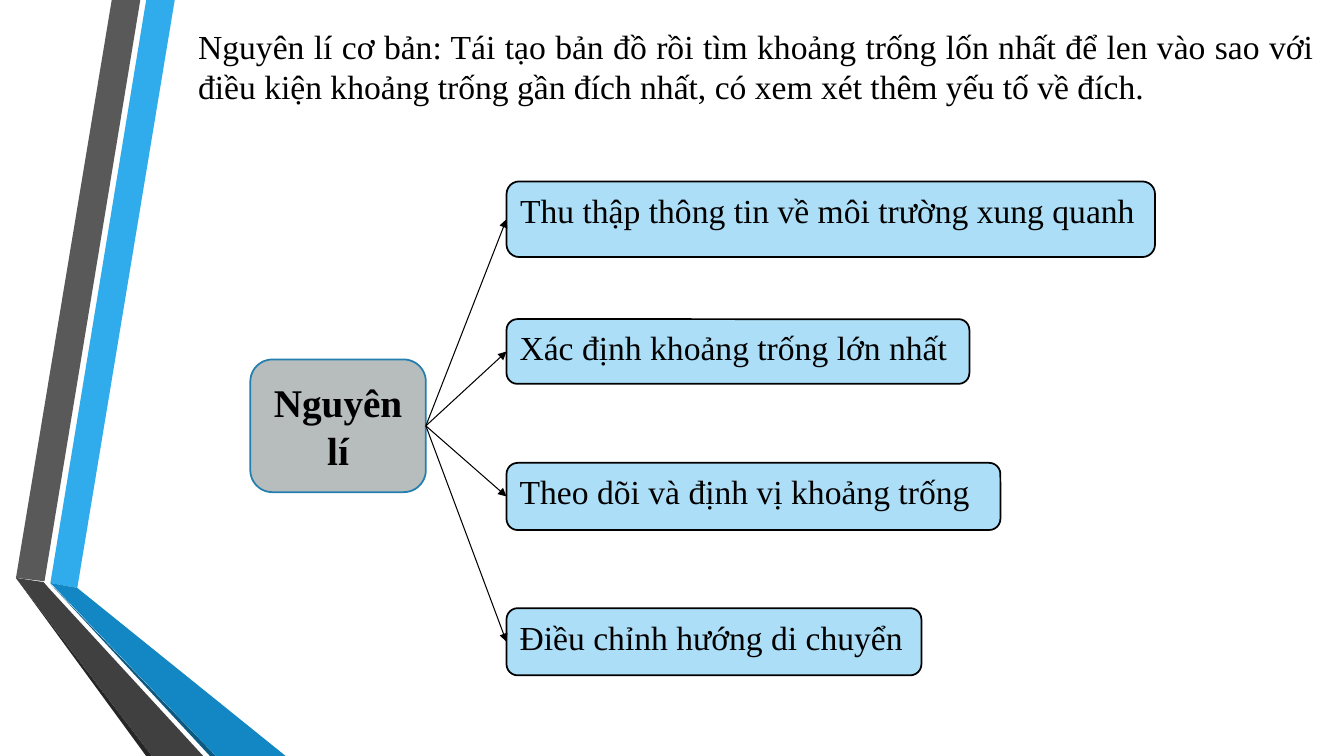
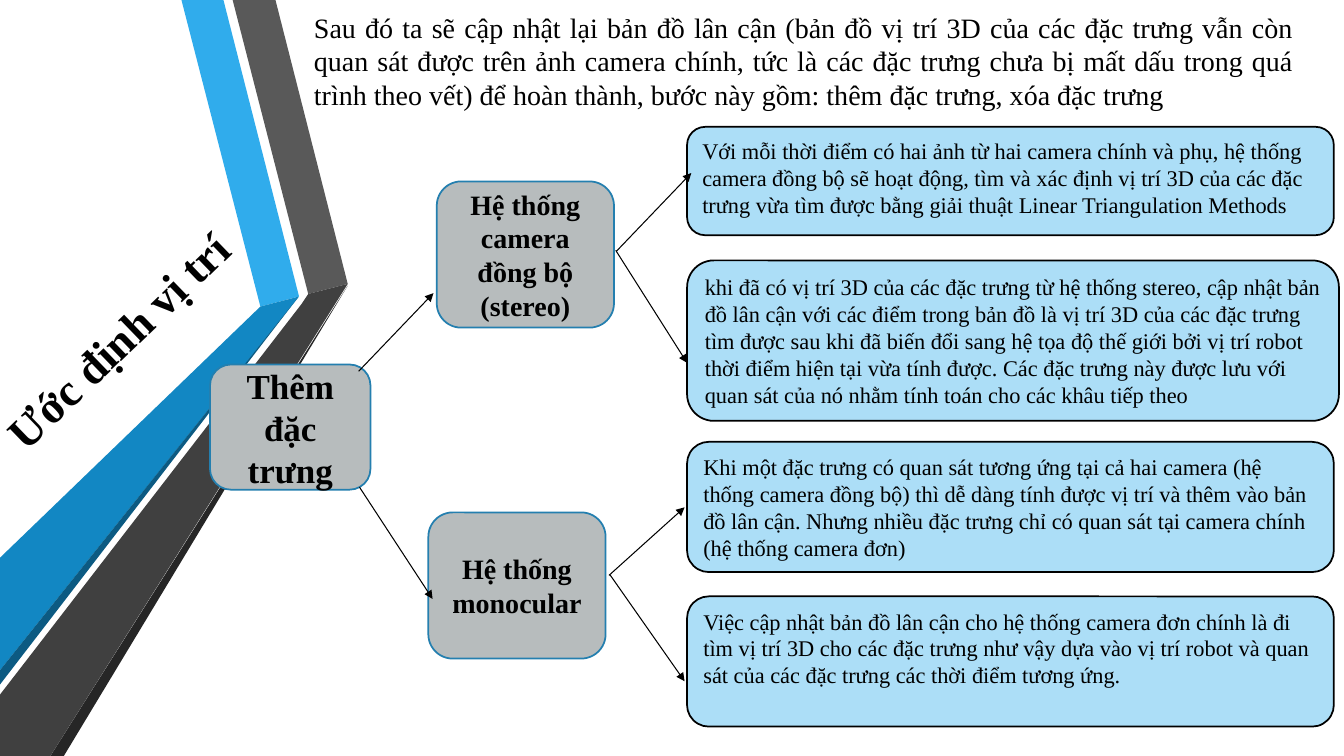
from dataclasses import dataclass

from lxml import etree
from pptx import Presentation
from pptx.dml import color as dml
from pptx.enum import shapes, text
from pptx.oxml import ns
from pptx.shapes import autoshape, connector
from pptx.slide import Slide
from pptx.util import Emu, Pt

COLUMNS, ROWS = 160, 90
CELL = 76200
FONT = "Times New Roman"
COLORS = {
    "ink": "000000",
    "sky": "30ACEC",
    "blue": "1287C3",
    "deep": "0C5A82",
    "gray": "595959",
    "dark": "404040",
    "shade": "262626",
    "node": "B7BCBD",
    "node_line": "247FAF",
    "detail": "ACDEF7",
}
ALIGN = text.PP_ALIGN
ANCHOR = text.MSO_ANCHOR
LEFT_SITE, RIGHT_SITE = 1, 3
Point = tuple[float, float]


@dataclass(frozen=True)
class Area:
    column: float
    row: float
    columns: float
    rows: float

    def lengths(self) -> tuple[Emu, Emu, Emu, Emu]:
        return (cells(self.column), cells(self.row),
                cells(self.columns), cells(self.rows))


@dataclass(frozen=True)
class Style:
    size: float
    align: ALIGN
    anchor: ANCHOR = ANCHOR.TOP
    bold: bool = False


@dataclass(frozen=True)
class Card:
    fill: str
    line: str
    style: Style


@dataclass(frozen=True)
class Band:
    color: str
    points: tuple[Point, ...]


@dataclass(frozen=True)
class Label:
    area: Area
    words: str


@dataclass(frozen=True)
class Arrow:
    start: Point
    end: Point


def node_card(size: float) -> Card:
    return Card("node", "node_line", Style(size, ALIGN.CENTER, ANCHOR.MIDDLE, True))


def detail_card(size: float, align: ALIGN) -> Card:
    return Card("detail", "ink", Style(size, align))


STEP_LEFT = 60.3
DETAIL_LEFT = 81.8

LEFT_BANDS = (
    Band("sky", ((6, 69.4), (9.2, 70), (20.8, 0), (17.4, 0))),
    Band("gray", ((16.7, 0), (13.3, 0), (1.9, 68.8), (5.3, 69.2))),
    Band("shade", ((1.9, 68.8), (17.4, 90), (18.1, 90))),
    Band("deep", ((6, 69.5), (25, 90), (25.7, 90))),
    Band("blue", ((6, 69.4), (25.7, 90), (34, 90), (9.2, 70))),
    Band("dark", ((24.2, 90), (5.8, 70), (5.2, 69.3), (1.9, 68.8), (18.1, 90))),
)
RIGHT_BANDS = (
    Band("sky", ((35.6, 35.3), (31, 36.5), (21.6, 0), (26.6, 0))),
    Band("gray", ((36.7, 35), (27.7, 0), (32.8, 0), (41.4, 33.8))),
    Band("shade", ((41.4, 34), (7.6, 90), (6, 90))),
    Band("blue", ((35.6, 35.3), (0, 79.8), (0, 66.4), (31, 36.5))),
    Band("dark", ((41.4, 33.8), (6, 90), (0, 90), (0, 82.7), (35.9, 36.2), (36.7, 35))),
    Band("deep", ((35.5, 35.4), (0, 81.5), (0, 79.8))),
)
STEPS = (
    Label(Area(STEP_LEFT, 21.6, 77.2, 9), "Thu thập thông tin về môi trường xung quanh"),
    Label(Area(STEP_LEFT, 38, 55.1, 7.7), "Xác định khoảng trống lớn nhất"),
    Label(Area(STEP_LEFT, 55.1, 58.8, 8), "Theo dõi và định vị khoảng trống"),
    Label(Area(STEP_LEFT, 72.4, 49.4, 8), "Điều chỉnh hướng di chuyển"),
)
SYSTEMS = (
    Label(Area(52, 21.6, 21.1, 17.4), "Hệ thống camera đồng bộ (stereo)"),
    Label(Area(51, 61, 21.1, 17.4), "Hệ thống monocular"),
)
DETAILS = (
    Label(
        Area(DETAIL_LEFT, 15.1, 77, 12.9),
        "Với mỗi thời điểm có hai ảnh từ hai camera chính và phụ, hệ thống camera "
        "đồng bộ sẽ hoạt động, tìm và xác định vị trí 3D của các đặc trưng vừa tìm "
        "được bằng giải thuật Linear Triangulation Methods",
    ),
    Label(
        Area(DETAIL_LEFT, 31, 77.6, 19.1),
        "khi đã có vị trí 3D của các đặc trưng từ hệ thống stereo, cập nhật bản đồ "
        "lân cận với các điểm trong bản đồ là vị trí 3D của các đặc trưng tìm được "
        "sau khi đã biến đổi sang hệ tọa độ thế giới bởi vị trí robot thời điểm "
        "hiện tại vừa tính được. Các đặc trưng này được lưu với quan sát của nó "
        "nhằm tính toán cho các khâu tiếp theo",
    ),
    Label(
        Area(DETAIL_LEFT, 52.6, 77, 15.5),
        "Khi một đặc trưng có quan sát tương ứng tại cả hai camera (hệ thống camera "
        "đồng bộ) thì dễ dàng tính được vị trí và thêm vào bản đồ lân cận. Nhưng "
        "nhiều đặc trưng chỉ có quan sát tại camera chính (hệ thống camera đơn)",
    ),
    Label(
        Area(DETAIL_LEFT, 71, 77, 15.5),
        "Việc cập nhật bản đồ lân cận cho hệ thống camera đơn chính là đi tìm vị "
        "trí 3D cho các đặc trưng như vậy dựa vào vị trí robot và quan sát của các "
        "đặc trưng các thời điểm tương ứng.",
    ),
)
ARROWS = (
    Arrow((73.4, 29.9), (82.3, 20.6)),
    Arrow((73.3, 29.8), (81.8, 43.2)),
    Arrow((72.5, 68.5), (81.5, 60.4)),
    Arrow((72.6, 68.4), (81.5, 81.1)),
    Arrow((42.8, 58), (51.5, 71.3)),
    Arrow((42.7, 44.2), (51.6, 34.9)),
)


def cells(count: float) -> Emu:
    return Emu(round(count * CELL))


def rgb(name: str) -> dml.RGBColor:
    return dml.RGBColor.from_string(COLORS[name])


def write(box: autoshape.Shape, words: str, style: Style) -> None:
    frame = box.text_frame
    frame.word_wrap = True
    frame.vertical_anchor = style.anchor
    para = frame.paragraphs[0]
    para.alignment = style.align
    span = para.add_run()
    span.text = words
    span.font.name = FONT
    span.font.size = Pt(style.size)
    span.font.bold = style.bold
    span.font.color.rgb = rgb("ink")


def add_text(page: Slide, label: Label, style: Style, rotation: float = 0) -> None:
    box = page.shapes.add_textbox(*label.area.lengths())
    box.rotation = rotation
    write(box, label.words, style)


def add_card(page: Slide, label: Label, card: Card) -> autoshape.Shape:
    box = page.shapes.add_shape(
        shapes.MSO_SHAPE.ROUNDED_RECTANGLE, *label.area.lengths())
    box.shadow.inherit = False
    box.fill.solid()
    box.fill.fore_color.rgb = rgb(card.fill)
    box.line.color.rgb = rgb(card.line)
    box.line.width = Pt(1.25)
    write(box, label.words, card.style)
    return box


def add_bands(page: Slide, bands: tuple[Band, ...]) -> None:
    for band in bands:
        first, *rest = [(cells(x), cells(y)) for x, y in band.points]
        builder = page.shapes.build_freeform(*first)
        builder.add_line_segments(rest, close=True)
        outline = builder.convert_to_shape()
        outline.shadow.inherit = False
        outline.fill.solid()
        outline.fill.fore_color.rgb = rgb(band.color)
        outline.line.fill.background()


def add_arrow(page: Slide, arrow: Arrow) -> connector.Connector:
    link = page.shapes.add_connector(
        shapes.MSO_CONNECTOR.STRAIGHT, *map(cells, arrow.start + arrow.end))
    link.line.color.rgb = rgb("ink")
    link.line.width = Pt(0.75)
    etree.SubElement(link.line._get_or_add_ln(), ns.qn("a:tailEnd"), type="triangle")
    etree.SubElement(link._element.spPr, ns.qn("a:effectLst"))
    return link


def draw_principle(page: Slide) -> None:
    add_bands(page, LEFT_BANDS)
    intro = Label(
        Area(22.4, 2.4, 135.2, 10.9),
        "Nguyên lí cơ bản: Tái tạo bản đồ rồi tìm khoảng trống lốn nhất để len vào "
        "sao với điều kiện khoảng trống gần đích nhất, có xem xét thêm yếu tố về đích.",
    )
    add_text(page, intro, Style(24, ALIGN.JUSTIFY, ANCHOR.MIDDLE))
    root = add_card(page, Label(Area(29.8, 42.8, 20.9, 15.8), "Nguyên lí"), node_card(28))
    for step in STEPS:
        box = add_card(page, step, detail_card(24, ALIGN.JUSTIFY))
        link = add_arrow(page, Arrow((0, 0), (0, 0)))
        link.begin_connect(root, RIGHT_SITE)
        link.end_connect(box, LEFT_SITE)


def draw_estimation(page: Slide) -> None:
    title = Label(Area(-5.3, 35.6, 38.6, 9.8), "Ước định vị trí")
    add_text(page, title, Style(32.4, ALIGN.CENTER, ANCHOR.MIDDLE, True), 316)
    add_bands(page, RIGHT_BANDS)
    intro = Label(
        Area(36.2, 0.6, 119, 13.3),
        "Sau đó ta sẽ cập nhật lại bản đồ lân cận (bản đồ vị trí 3D của các đặc trưng "
        "vẫn còn quan sát được trên ảnh camera chính, tức là các đặc trưng chưa bị mất "
        "dấu trong quá trình theo vết) để hoàn thành, bước này gồm: thêm đặc trưng, "
        "xóa đặc trưng",
    )
    add_text(page, intro, Style(20, ALIGN.JUSTIFY))
    add_card(page, Label(Area(25, 43.4, 19.1, 14.9), "Thêm đặc trưng"), node_card(25))
    for system in SYSTEMS:
        add_card(page, system, node_card(20))
    for detail in DETAILS:
        add_card(page, detail, detail_card(16, ALIGN.LEFT))
    for arrow in ARROWS:
        add_arrow(page, arrow)


def main() -> None:
    deck = Presentation()
    deck.slide_width = cells(COLUMNS)
    deck.slide_height = cells(ROWS)
    blank = deck.slide_layouts[6]
    for draw in (draw_principle, draw_estimation):
        draw(deck.slides.add_slide(blank))
    deck.save("out.pptx")


if __name__ == "__main__":
    main()
